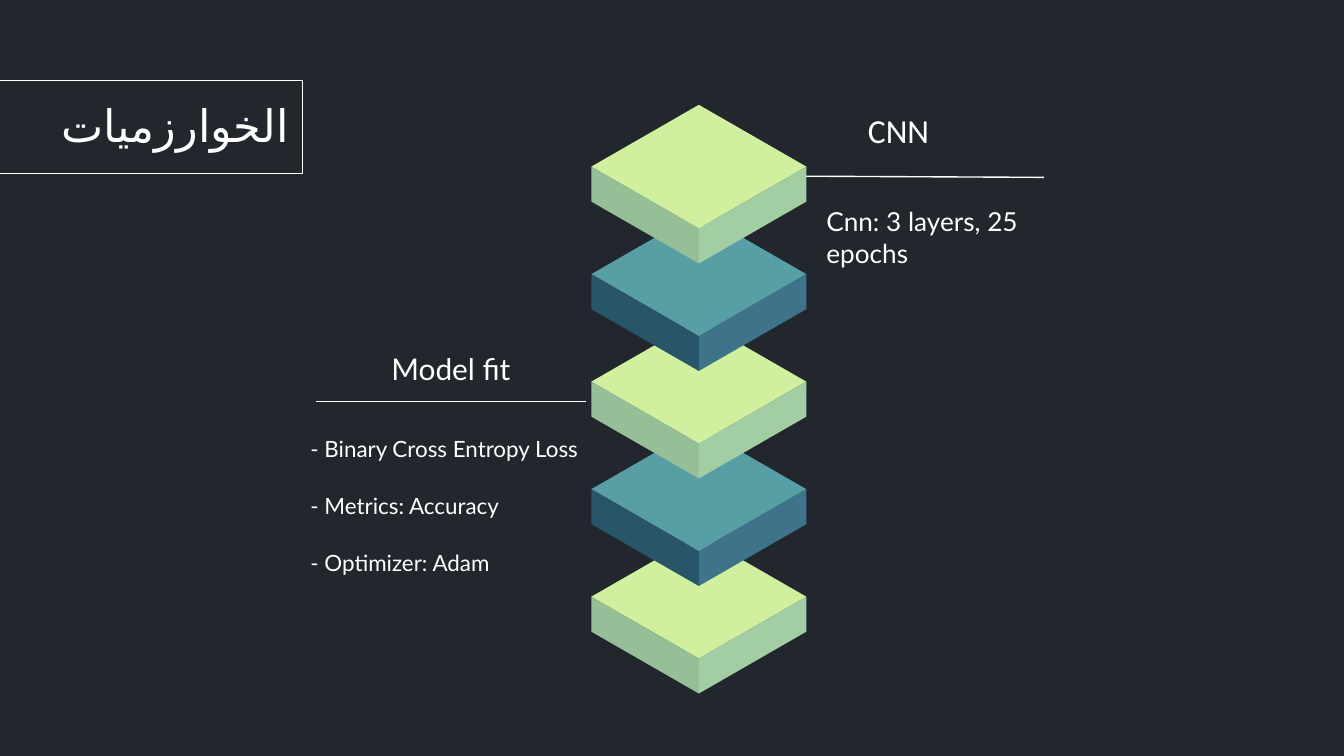
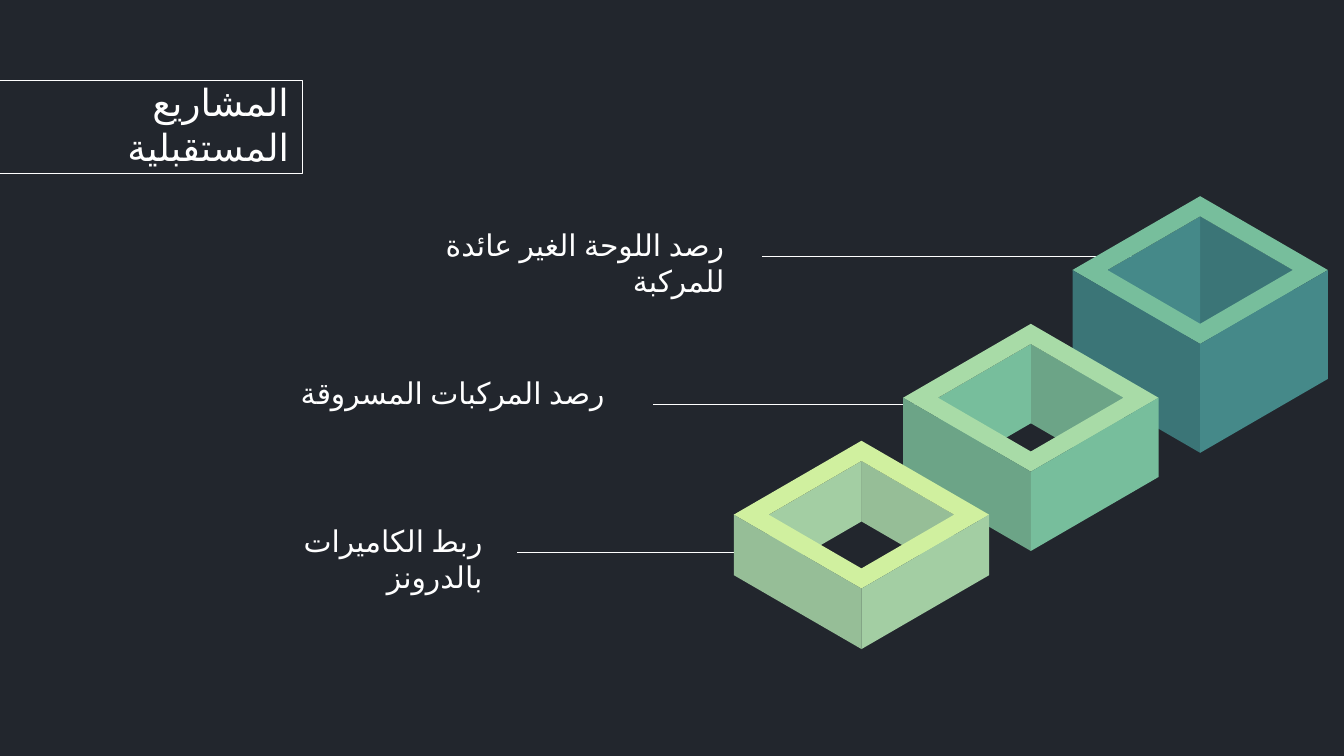
from lxml import etree
from pptx import Presentation
from pptx.dml.color import RGBColor
from pptx.enum.shapes import MSO_CONNECTOR, MSO_SHAPE
from pptx.enum.text import MSO_ANCHOR, MSO_AUTO_SIZE, PP_ALIGN
from pptx.oxml.ns import qn
from pptx.util import Inches, Pt

LEFT, CENTER, RIGHT = PP_ALIGN.LEFT, PP_ALIGN.CENTER, PP_ALIGN.RIGHT
TOP, MIDDLE = MSO_ANCHOR.TOP, MSO_ANCHOR.MIDDLE
RECTANGLE, STRAIGHT = MSO_SHAPE.RECTANGLE, MSO_CONNECTOR.STRAIGHT
NO_AUTOFIT = MSO_AUTO_SIZE.NONE

NIGHT = RGBColor(0x22, 0x26, 0x2D)
WHITE = RGBColor(0xFF, 0xFF, 0xFF)
LIME = RGBColor(0xD0, 0xF0, 0x9F)
SAGE = RGBColor(0x96, 0xBE, 0x97)
MINT = RGBColor(0xA3, 0xCE, 0xA3)
TEAL = RGBColor(0x58, 0x9E, 0xA5)
NAVY = RGBColor(0x29, 0x55, 0x68)
STEEL = RGBColor(0x3E, 0x73, 0x8A)
JADE = RGBColor(0x77, 0xBE, 0x9C)
PINE = RGBColor(0x3B, 0x75, 0x77)
LAGOON = RGBColor(0x45, 0x89, 0x89)
FERN = RGBColor(0x6C, 0xA4, 0x87)
LEAF = RGBColor(0xA8, 0xDB, 0xA7)

# Each scheme: top, left face, right face
LIME_SCHEME = (LIME, SAGE, MINT)
TEAL_SCHEME = (TEAL, NAVY, STEEL)
LEAF_SCHEME = (LEAF, FERN, JADE)
JADE_SCHEME = (JADE, PINE, LAGOON)

HEADING_FONT, BODY_FONT = "Calibri", "Lato"
LINE_WIDTH = Pt(0.75)


# Shared helpers
def place(shape, box):
    shape.left, shape.top, shape.width, shape.height = map(Inches, box)


def write(shape, lines, size, font=BODY_FONT, align=LEFT, anchor=TOP,
          rtl=False, after=0, spacing=1.0):
    frame = shape.text_frame
    frame.text = "\n".join(lines)
    frame.word_wrap = True
    frame.auto_size = NO_AUTOFIT
    frame.vertical_anchor = anchor
    frame.margin_left = frame.margin_right = Inches(0.1)
    frame.margin_top = frame.margin_bottom = Inches(0.1)
    for para in frame.paragraphs:
        para.alignment = align
        para.space_before, para.space_after = Pt(0), Pt(after)
        para.line_spacing = spacing
        if rtl:
            para._p.get_or_add_pPr().set("rtl", "1")
        for span in para.runs:
            span.font.size = Pt(size)
            span.font.name = font
            span.font.color.rgb = WHITE
            if not span.text.isascii():
                set_arabic(span, font)


def set_arabic(span, font):
    properties = span.font._element
    properties.set("lang", "ar-SA")
    etree.SubElement(properties, qn("a:cs")).set("typeface", font)


def add_label(page, box, text, size, **style):
    label = page.shapes.add_textbox(*map(Inches, box))
    write(label, [text], size, **style)


def add_rule(page, *ends):
    rule = page.shapes.add_connector(STRAIGHT, *map(Inches, ends))
    rule.line.color.rgb = WHITE
    rule.line.width = LINE_WIDTH
    etree.SubElement(rule.element.spPr, qn("a:effectLst"))


def to_lengths(points):
    return [(Inches(x), Inches(y)) for x, y in points]


def add_face(group, color, outline, hole=()):
    start, *rest = to_lengths(outline)
    builder = group.shapes.build_freeform(*start)
    builder.add_line_segments(rest, close=True)
    if hole:
        start, *rest = to_lengths(hole)
        builder.move_to(*start)
        builder.add_line_segments(rest, close=True)
    face = builder.convert_to_shape()
    face.fill.solid()
    face.fill.fore_color.rgb = color
    face.line.fill.background()
    face.shadow.inherit = False


def rhombus(x, y, half_width, half_height):
    """Corners from the top point (x, y): top, left, bottom, right."""
    return [(x, y), (x - half_width, y + half_height),
            (x, y + 2 * half_height), (x + half_width, y + half_height)]


def wall(start, end, depth):
    return [start, end, (end[0], end[1] + depth), (start[0], start[1] + depth)]


def add_block(page, x, y, half_width, half_height, depth, scheme, hole=None):
    """Isometric block with its top point at (x, y), hollow if hole is given."""
    top_color, left_color, right_color = scheme
    group = page.shapes.add_group_shape()
    top, left, bottom, right = outline = rhombus(x, y, half_width, half_height)
    opening = []
    if hole:
        inner = rhombus(x, y + half_height - hole[1], *hole)
        add_face(group, left_color, wall(inner[0], inner[3], depth))
        add_face(group, right_color, wall(inner[0], inner[1], depth))
        opening = inner[::-1]
    add_face(group, top_color, outline, opening)
    add_face(group, left_color, wall(left, bottom, depth))
    add_face(group, right_color, wall(bottom, right, depth))


# Shared look: dark background and the frame around the title
def style_template(deck, layout, page):
    background = deck.slide_master.background.fill
    background.solid()
    background.fore_color.rgb = NIGHT
    box = (-0.1, 0.6, 2.35, 0.69)
    frame = page.shapes.add_shape(RECTANGLE, *map(Inches, box))
    frame.fill.background()
    frame.line.color.rgb = WHITE
    frame.line.width = LINE_WIDTH
    frame.shadow.inherit = False
    layout.shapes.element.append(frame.element)


def add_title(page, text, size):
    title = page.shapes.title
    place(title, (0.21, 0.41, 2.04, 1.03))
    write(title, [text], size, HEADING_FONT, RIGHT, MIDDLE, rtl=True)


# Slide 1: stack of layers with notes on both sides
def add_stack(page, x, y):
    pitch = 0.8
    for level in reversed(range(5)):
        scheme = TEAL_SCHEME if level % 2 else LIME_SCHEME
        add_block(page, x, y + level * pitch, 0.8, 0.46, 0.26, scheme)


def add_network_note(page, x, y):
    add_rule(page, x + 2.02, y + 0.01, x, y)
    add_label(page, (x + 0.61, y - 0.68, 1.1, 0.63), "CNN", 18,
              font=HEADING_FONT, anchor=MIDDLE, rtl=True, spacing=1.15)
    add_label(page, (x + 0.3, y + 0.12, 2.02, 0.94),
              "Cnn: 3 layers, 25 epochs", 14, rtl=True, after=16)


def add_fit_note(page, x, y):
    add_rule(page, x + 2.01, y, x, y)
    add_label(page, (x + 0.39, y - 0.44, 1.23, 0.35), "Model fit", 16,
              align=CENTER, anchor=MIDDLE, rtl=True, spacing=1.15)
    settings = page.placeholders[1]
    place(settings, (x - 0.14, y + 0.15, 2.52, 1.83))
    write(settings, ["- Binary Cross Entropy Loss", "- Metrics: Accuracy",
                     "- Optimizer: Adam"], 12, after=16)


def build_algorithms(page):
    add_title(page, "الخوارزميات", 24)
    add_network_note(page, 5.75, 1.31)
    add_fit_note(page, 2.35, 2.99)
    add_stack(page, 5.2, 0.78)


# Slide 2: three hollow boxes, each with a labelled rule
def add_project(page, y, text, label_left, label_width, label_height,
                rule_left, rule_right, rtl):
    add_rule(page, rule_right, y, rule_left, y)
    add_label(page, (label_left, y - 0.32, label_width, label_height),
              text, 16, align=RIGHT, rtl=rtl)


def add_hollow_boxes(page, x, step):
    boxes = [(1.46, 0.81, JADE_SCHEME), (2.41, 0.59, LEAF_SCHEME),
             (3.28, 0.45, LIME_SCHEME)]
    for index, (y, depth, scheme) in enumerate(boxes):
        add_block(page, x - index * step, y, 0.95, 0.55, depth, scheme,
                  hole=(0.69, 0.4))


def build_future_projects(page):
    add_title(page, "المشاريع المستقبلية", 20)
    subtitle = page.placeholders[1].element
    subtitle.getparent().remove(subtitle)
    projects = [
        ("رصد اللوحة الغير عائدة للمركبة", 2.95, 2.54, 0.87, 5.67, 8.61, True),
        ("رصد المركبات المسروقة", 2.06, 2.54, 0.87, 4.86, 7.8, True),
        ("ربط الكاميرات بالدرونز", 1.52, 2.17, 0.59, 3.85, 5.7, False),
    ]
    for index, project in enumerate(projects):
        add_project(page, 1.91 + index * 1.1, *project)
    add_hollow_boxes(page, 8.93, 1.26)


def main():
    deck = Presentation()
    deck.slide_width = Inches(10)
    deck.slide_height = deck.slide_width * 9 // 16
    layout = deck.slide_layouts[0]
    algorithms = deck.slides.add_slide(layout)
    style_template(deck, layout, algorithms)
    build_algorithms(algorithms)
    build_future_projects(deck.slides.add_slide(layout))
    deck.save("out.pptx")


if __name__ == "__main__":
    main()
